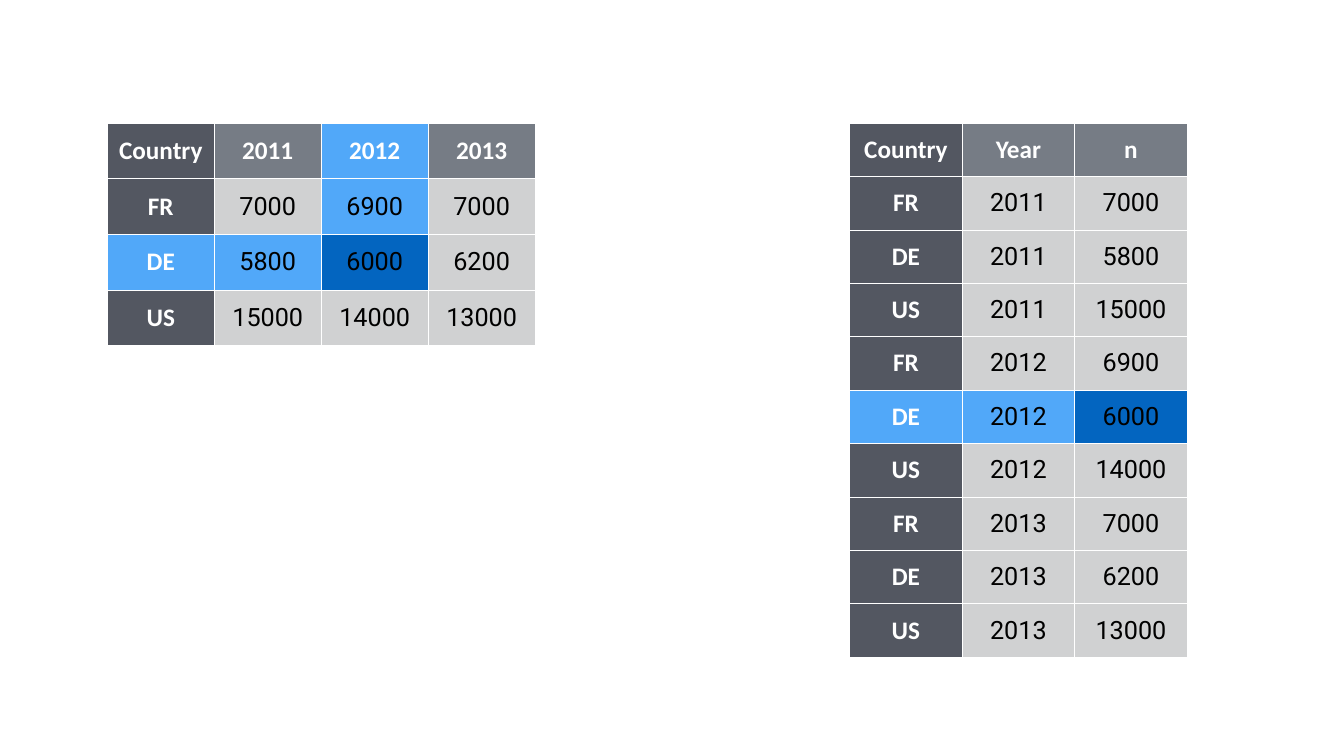
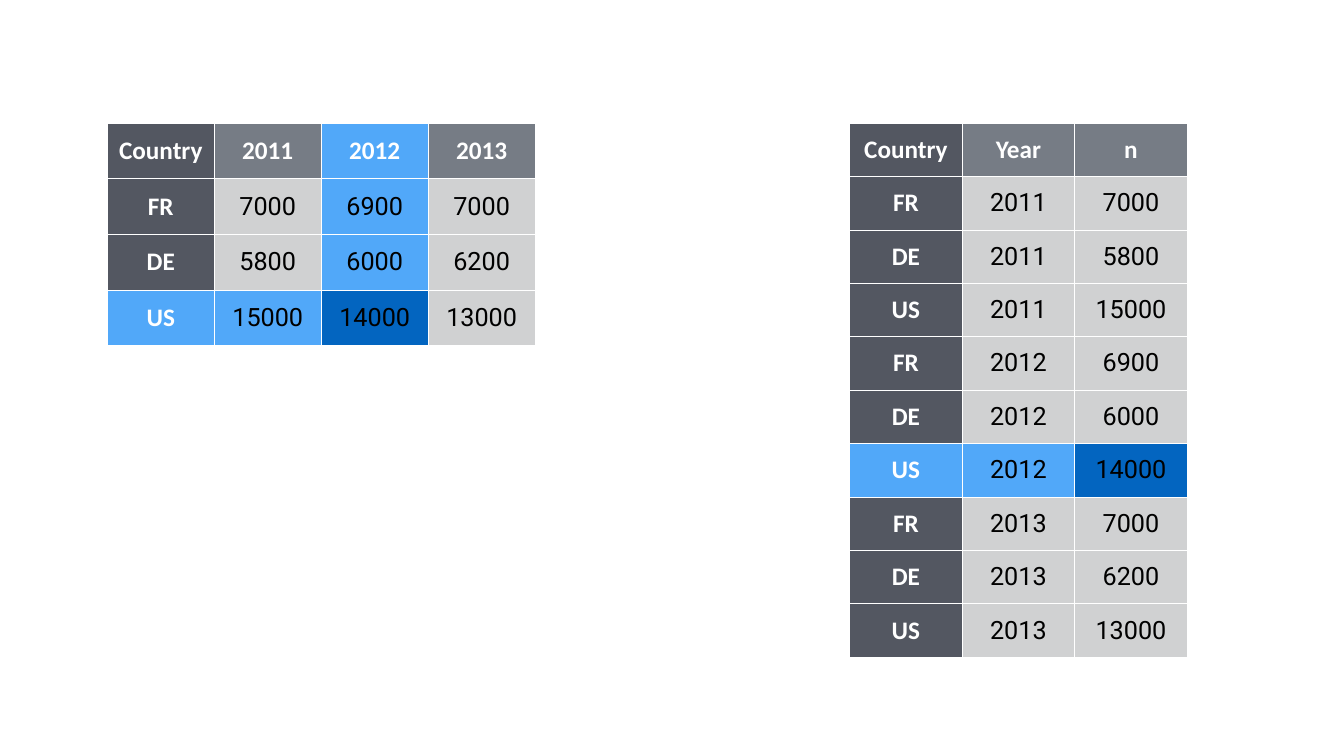
from lxml.etree import SubElement
from pptx import Presentation
from pptx.dml.color import RGBColor
from pptx.enum.text import MSO_ANCHOR as Anchor, PP_ALIGN as Align
from pptx.oxml.ns import qn
from pptx.util import Inches, Pt

WHITE, BLACK = "FFFFFF", "000000"
HEADER, LABEL, VALUE = "767C85", "535761", "D0D1D2"
TRAIL, TARGET = "51A8F9", "0365C0"

COUNTRIES = ["FR", "DE", "US"]
YEARS = ["2011", "2012", "2013"]
COUNTS = [[7000, 6900, 7000], [5800, 6000, 6200], [15000, 14000, 13000]]

WIDE_ROWS = [["Country", *YEARS]] + [
    [country, *counts] for country, counts in zip(COUNTRIES, COUNTS)]
LONG_ROWS = [["Country", "Year", "n"]] + [
    [country, year, counts[y]]
    for y, year in enumerate(YEARS)
    for country, counts in zip(COUNTRIES, COUNTS)]


def rgb(color):
    return RGBColor.from_string(color)


def add_borders(cell, color, width):
    properties = cell._tc.get_or_add_tcPr()
    for side in ("a:lnL", "a:lnR", "a:lnT", "a:lnB"):
        line = SubElement(properties, qn(side), w=str(Pt(width)))
        fill = SubElement(line, qn("a:solidFill"))
        SubElement(fill, qn("a:srgbClr"), val=color)


class Deck:
    label_font, value_font, text_size = "Calibri", "Roboto", 36
    inset, border = Inches(0.06), 1

    def __init__(self, width, height):
        self.prs = Presentation()
        self.prs.slide_width, self.prs.slide_height = Inches(width), Inches(height)
        self.slide = None

    def add_slide(self):
        self.slide = self.prs.slides.add_slide(self.prs.slide_layouts[6])

    def add_table(self, rows, left, top, width, height, target, trail):
        """Draw rows as a table; target is one (row, column), trail a set of them."""
        table = self.slide.shapes.add_table(
            len(rows), len(rows[0]), Inches(left), Inches(top),
            Inches(width), Inches(height)).table
        table.first_col, table.horz_banding = True, False
        for r, row in enumerate(rows):
            for c, content in enumerate(row):
                if (r, c) == target:
                    fill = TARGET
                elif (r, c) in trail:
                    fill = TRAIL
                elif c == 0:
                    fill = LABEL
                else:
                    fill = HEADER if r == 0 else VALUE
                self.fill_cell(table.cell(r, c), content, fill, r == 0 or c == 0)

    def fill_cell(self, cell, content, fill, is_label):
        add_borders(cell, WHITE, self.border)
        cell.fill.solid()
        cell.fill.fore_color.rgb = rgb(fill)
        cell.vertical_anchor = Anchor.MIDDLE
        cell.margin_left = cell.margin_right = self.inset
        cell.margin_top = cell.margin_bottom = self.inset
        paragraph = cell.text_frame.paragraphs[0]
        paragraph.text = str(content)
        paragraph.alignment = Align.CENTER
        font = paragraph.runs[0].font
        font.name = self.label_font if is_label else self.value_font
        font.size = Pt(self.text_size)
        font.bold = is_label
        font.color.rgb = rgb(WHITE if is_label else BLACK)


def add_lookup_slide(deck, country, year):
    """Show where one country and year sit in the wide and the long table."""
    country_index, year_index = COUNTRIES.index(country), YEARS.index(year)
    wide_row, wide_col = country_index + 1, year_index + 1
    long_row = year_index * len(COUNTRIES) + country_index + 1
    wide_trail = ({(wide_row, c) for c in range(wide_col)}
                  | {(r, wide_col) for r in range(wide_row)})
    long_trail = {(long_row, 0), (long_row, 1)}

    deck.add_slide()
    deck.add_table(WIDE_ROWS, 2.13, 2.44, 8.49, 4.42, (wide_row, wide_col), wide_trail)
    deck.add_table(LONG_ROWS, 16.86, 2.44, 6.7, 10.6, (long_row, 2), long_trail)


def main():
    deck = Deck(26.67, 15)
    for country in ("DE", "US"):
        add_lookup_slide(deck, country, "2012")
    deck.prs.save("out.pptx")


if __name__ == "__main__":
    main()
